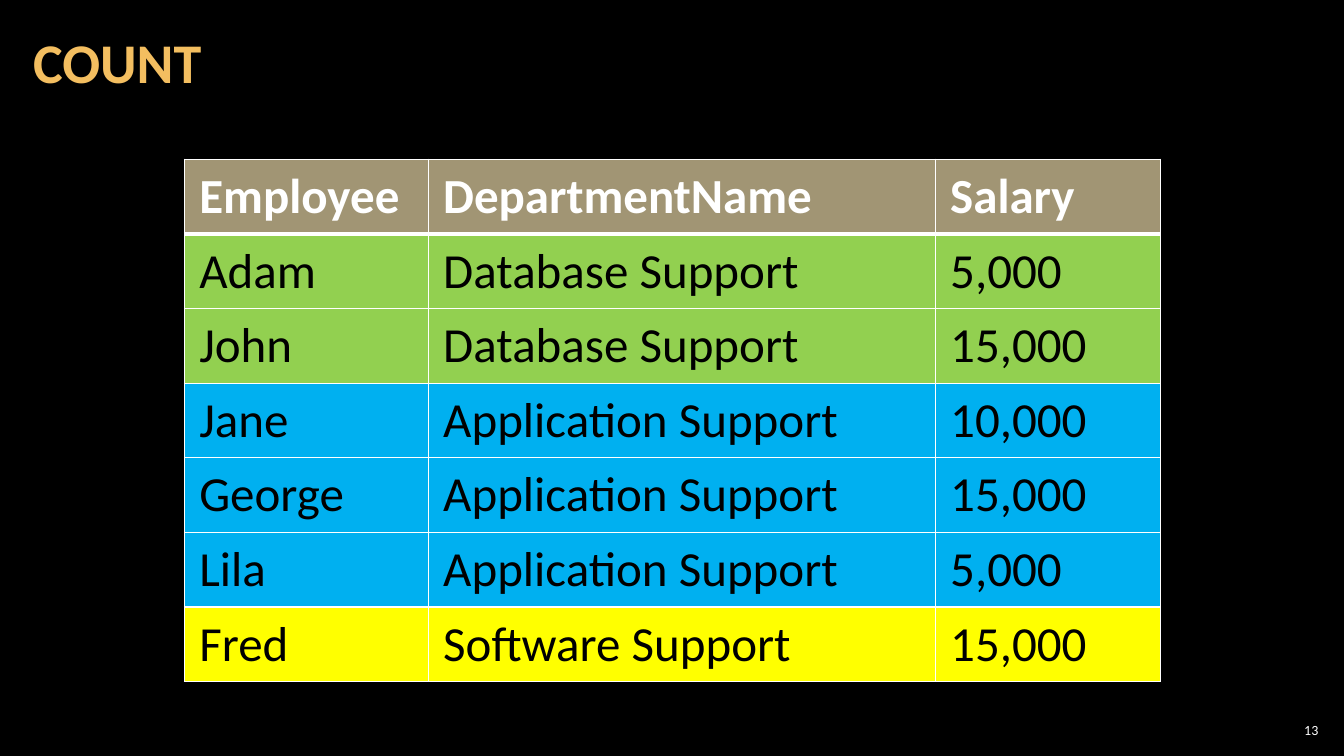
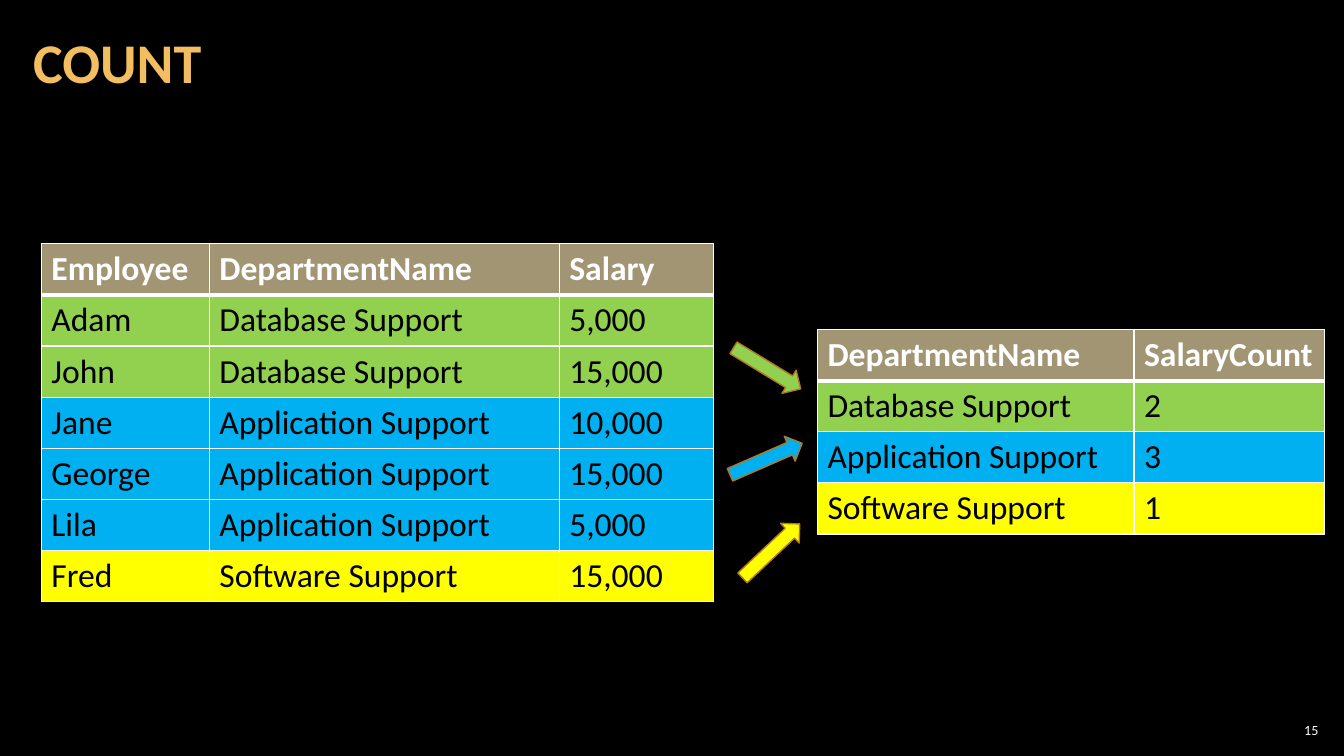
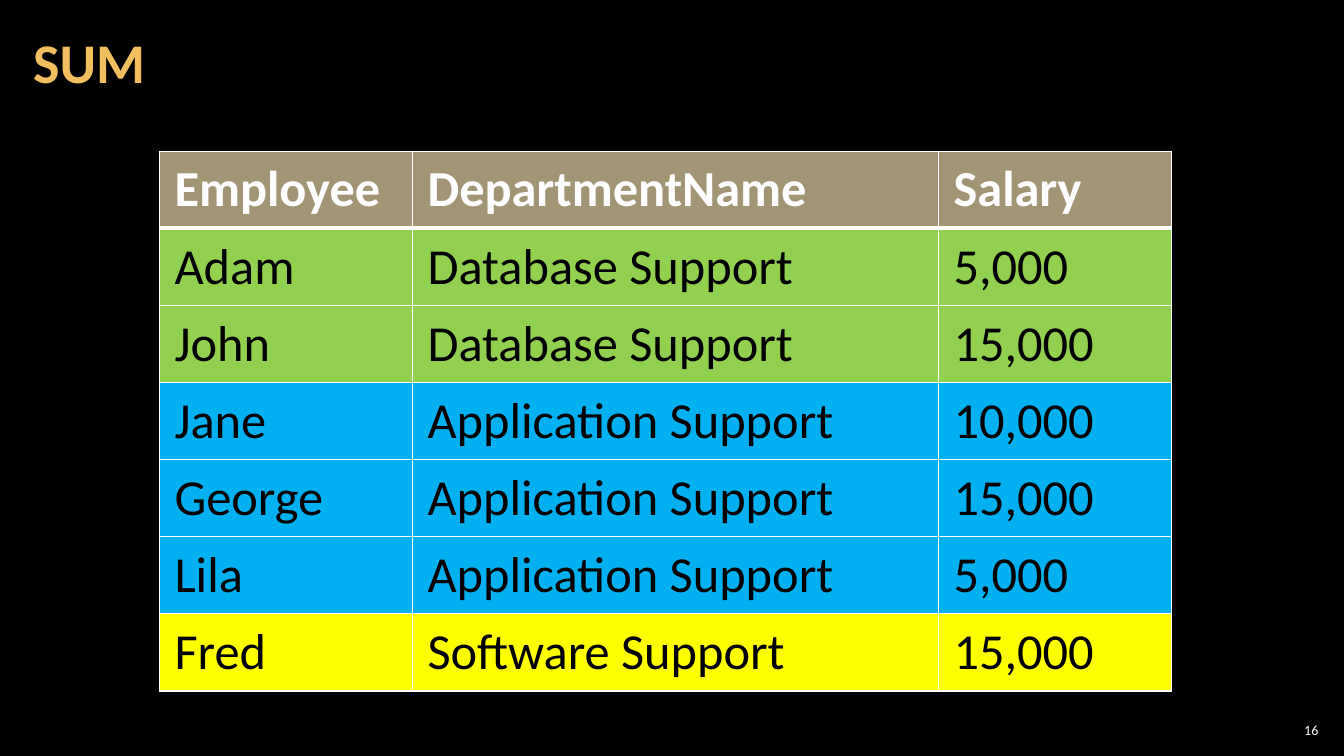
from dataclasses import dataclass

from lxml import etree
from pptx import Presentation
from pptx.dml.color import RGBColor
from pptx.enum import shapes, text
from pptx.oxml.ns import qn
from pptx.slide import Slide
from pptx.text.text import TextFrame
from pptx.util import Pt


@dataclass(frozen=True)
class Theme:
    """Colours, font and type sizes of the deck."""
    back: str = "000000"
    title: str = "F3BE60"
    light: str = "FFFFFF"
    dark: str = "000000"
    head: str = "A19574"
    edge: str = "B27822"
    green: str = "92D050"
    blue: str = "00B0F0"
    yellow: str = "FFFF00"
    font: str = "Calibri"
    big: float = 40
    small: float = 10
    thin: float = 1
    thick: float = 3


@dataclass(frozen=True)
class Grid:
    """A table: place, column widths, row height, type size and cell insets."""
    left: float
    top: float
    cols: tuple[float, ...]
    row: float
    size: float
    pad: tuple[float, float]
    rows: tuple[tuple[str, ...], ...]


@dataclass(frozen=True)
class Arrow:
    """A turned block arrow."""
    left: float
    top: float
    turn: float
    fill: str


@dataclass(frozen=True)
class Page:
    """One slide: title, number, tables and arrows."""
    title: str
    num: int
    grids: tuple[Grid, ...]
    arrows: tuple[Arrow, ...] = ()


THEME = Theme()
DATA, APPS, SOFT = "Database Support", "Application Support", "Software Support"
TINTS = {DATA: THEME.green, APPS: THEME.blue, SOFT: THEME.yellow}
STAFF = (
    ("Employee", "DepartmentName", "Salary"),
    ("Adam", DATA, "5,000"),
    ("John", DATA, "15,000"),
    ("Jane", APPS, "10,000"),
    ("George", APPS, "15,000"),
    ("Lila", APPS, "5,000"),
    ("Fred", SOFT, "15,000"),
)
COUNTS = (("DepartmentName", "SalaryCount"), (DATA, "2"), (APPS, "3"), (SOFT, "1"))
ARROW = (56.2, 19.4)

PAGES = (
    Page("COUNT", 13, (
        Grid(131.8, 113.8, (174.2, 362.2, 160.6), 52.4, 35, (10.6, 5.3), STAFF),)),
    Page("COUNT", 15, (
        Grid(29.5, 174.2, (120, 250, 110.4), 36, 24, (7.2, 3.6), STAFF),
        Grid(583.9, 235.4, (226.1, 136.1), 36, 24, (7.2, 3.6), COUNTS)), (
        Arrow(519.8, 253.4, 31.4, THEME.green),
        Arrow(519.1, 318.2, 336.4, THEME.blue),
        Arrow(522.7, 383.8, 316.7, THEME.yellow))),
    Page("SUM", 16, (
        Grid(113.8, 108, (180.7, 375.8, 166.3), 54.2, 36, (10.9, 5.5), STAFF),)),
)


def rgb(tint: str) -> RGBColor:
    """Turn a hex string into a colour."""
    return RGBColor.from_string(tint)


def write(frame: TextFrame, words: str, *, size: float, tint: str,
          bold: bool = False, align: text.PP_ALIGN = text.PP_ALIGN.LEFT,
          pad: tuple[float, float] | None = None,
          space: float | None = None) -> None:
    """Put formatted words into a frame; pad also sets insets and centres it."""
    if pad:
        frame.margin_left = frame.margin_right = Pt(pad[0])
        frame.margin_top = frame.margin_bottom = Pt(pad[1])
        frame.vertical_anchor = text.MSO_ANCHOR.MIDDLE
        frame.auto_size = text.MSO_AUTO_SIZE.NONE
        frame.word_wrap = True
    para = frame.paragraphs[0]
    para.alignment = align
    if space:
        para.line_spacing = space
    run = para.add_run()
    run.text = words
    run.font.name, run.font.size, run.font.bold = THEME.font, Pt(size), bold
    run.font.color.rgb = rgb(tint)


def rule(cell, side: str, width: float) -> None:
    """Draw one border of a cell."""
    line = etree.SubElement(cell._tc.get_or_add_tcPr(), qn(f"a:ln{side}"),
                            w=str(Pt(width)))
    fill = etree.SubElement(line, qn("a:solidFill"))
    etree.SubElement(fill, qn("a:srgbClr"), val=THEME.light)


def draw_grid(slide: Slide, grid: Grid) -> None:
    """Add a table whose rows are coloured by department."""
    table = slide.shapes.add_table(
        len(grid.rows), len(grid.cols), Pt(grid.left), Pt(grid.top),
        Pt(sum(grid.cols)), Pt(grid.row * len(grid.rows))).table
    table.first_row = table.horz_banding = False
    for col, width in zip(table.columns, grid.cols):
        col.width = Pt(width)
    for r, row in enumerate(grid.rows):
        head = r == 0
        table.rows[r].height = Pt(grid.row)
        tint = next((TINTS[word] for word in row if word in TINTS), THEME.head)
        for c, word in enumerate(row):
            cell = table.cell(r, c)
            cell.margin_left = cell.margin_right = Pt(grid.pad[0])
            cell.margin_top = cell.margin_bottom = Pt(grid.pad[1])
            for side in "LRTB":
                bar = (r, side) in ((0, "B"), (1, "T"))
                rule(cell, side, THEME.thick if bar else THEME.thin)
            cell.fill.solid()
            cell.fill.fore_color.rgb = rgb(tint)
            write(cell.text_frame, word, size=grid.size, bold=head,
                  tint=THEME.light if head else THEME.dark)


def draw_arrow(slide: Slide, arrow: Arrow) -> None:
    """Add a block arrow."""
    shape = slide.shapes.add_shape(
        shapes.MSO_SHAPE.RIGHT_ARROW, Pt(arrow.left), Pt(arrow.top),
        *map(Pt, ARROW))
    shape.rotation = arrow.turn
    shape.shadow.inherit = False
    shape.fill.solid()
    shape.fill.fore_color.rgb = rgb(arrow.fill)
    shape.line.color.rgb = rgb(THEME.edge)
    shape.line.width = Pt(THEME.thin)


def draw_page(deck, page: Page) -> None:
    """Add a slide with its number, title, tables and arrows."""
    slide = deck.slides.add_slide(deck.slide_layouts.get_by_name("Title Only"))
    title = slide.shapes.title
    title.left, title.top, title.width, title.height = map(
        Pt, (15.1, 2.9, 753.8, 87.1))
    write(title.text_frame, page.title, size=THEME.big, tint=THEME.title,
          bold=True, pad=(8.6, 2.9), space=0.9)
    box = slide.shapes.add_textbox(*map(Pt, (910.8, 514.1, 33.8, 15.1)))
    write(box.text_frame, str(page.num), size=THEME.small, tint=THEME.light,
          align=text.PP_ALIGN.RIGHT, pad=(2.9, 2.9))
    for grid in page.grids:
        draw_grid(slide, grid)
    for arrow in page.arrows:
        draw_arrow(slide, arrow)


def main() -> None:
    """Build and save the deck."""
    deck = Presentation()
    deck.slide_width, deck.slide_height = Pt(960), Pt(540)
    back = deck.slide_master.background.fill
    back.solid()
    back.fore_color.rgb = rgb(THEME.back)
    for page in PAGES:
        draw_page(deck, page)
    deck.save("out.pptx")


main()
